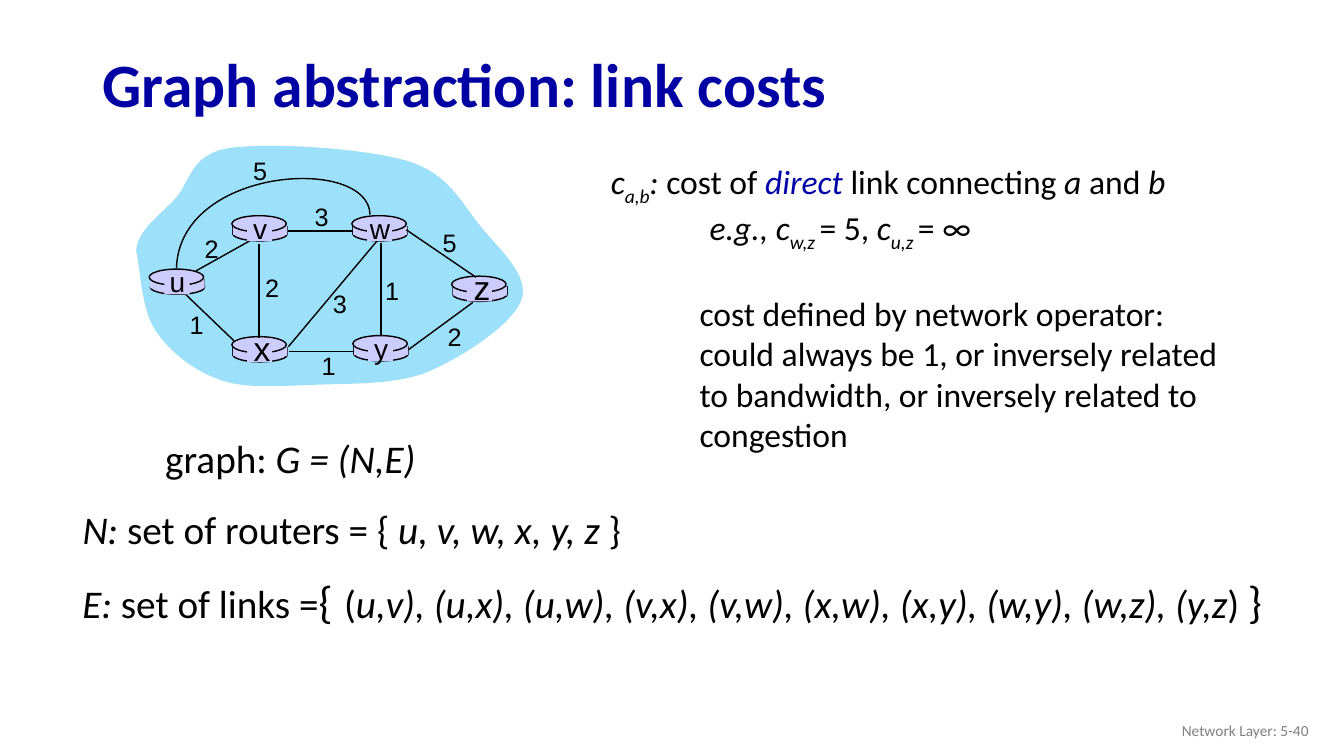
from lxml import etree
from pptx import Presentation
from pptx.dml.color import RGBColor
from pptx.enum.shapes import MSO_CONNECTOR, MSO_SHAPE
from pptx.enum.text import MSO_ANCHOR, PP_ALIGN
from pptx.oxml.ns import qn
from pptx.util import Inches, Pt

STRAIGHT = MSO_CONNECTOR.STRAIGHT
OVAL, RECT = MSO_SHAPE.OVAL, MSO_SHAPE.RECTANGLE
TOP, MIDDLE = MSO_ANCHOR.TOP, MSO_ANCHOR.MIDDLE
LEFT, CENTER, RIGHT = PP_ALIGN.LEFT, PP_ALIGN.CENTER, PP_ALIGN.RIGHT

COLORS = {"title": "0000A3", "emphasis": "0000A8", "ink": "000000",
          "cloud": "9CE0FA", "router": "CCCCFF", "footer": "808080"}

# Top left corner of each router and the size of its label
ROUTERS = {"u": (1.48, 2.67, 20), "x": (2.3, 3.34, 24), "v": (2.3, 2.14, 20),
           "w": (3.49, 2.14, 20), "y": (3.5, 3.33, 20), "z": (4.48, 2.74, 24)}
ROUTER_WIDTH = 0.54

LINK_UV = (1.94, 2.69, 2.53, 2.36)
LINKS = [
    (3.78, 2.41, 3.78, 3.32),  # w-y
    (2.57, 2.42, 2.57, 3.35),  # v-x
    (2.86, 3.44, 3.74, 2.39),  # x-w
    (4.05, 3.47, 4.69, 3.0),   # y-z
    (3.51, 3.49, 2.87, 3.49),  # y-x
    (2.32, 3.38, 1.84, 2.92),  # x-u
    (3.5, 2.29, 2.86, 2.29),   # w-v
    (4.72, 2.75, 4.03, 2.28),  # z-w
]
LINK_UW = [(3.67, 2.13), (3.66, 1.54), (1.78, 1.65), (1.75, 2.66)]

# Left and top of each link cost
COSTS = [("2", 1.93, 2.27), ("2", 2.53, 2.65), ("1", 1.78, 3.02),
         ("3", 3.2, 2.81), ("1", 3.09, 3.43), ("1", 3.72, 2.68),
         ("2", 4.34, 3.14), ("5", 4.29, 2.21), ("3", 3.02, 1.95),
         ("5", 2.41, 1.49)]

# Bézier points: a start, then two controls and an end per segment
CLOUD = [(1.35, 2.49),
         (1.36, 2.29), (1.58, 2.14), (1.74, 1.97),
         (1.89, 1.8), (1.89, 1.53), (2.27, 1.47),
         (2.66, 1.41), (3.63, 1.47), (4.05, 1.6),
         (4.46, 1.73), (4.58, 2.02), (4.77, 2.25),
         (4.96, 2.48), (5.26, 2.74), (5.17, 2.98),
         (5.08, 3.22), (4.58, 3.55), (4.24, 3.69),
         (3.89, 3.83), (3.42, 3.8), (3.08, 3.82),
         (2.73, 3.83), (2.42, 3.86), (2.16, 3.76),
         (1.91, 3.67), (1.67, 3.48), (1.53, 3.26),
         (1.4, 3.05), (1.39, 2.65), (1.35, 2.49)]


def rgb(name):
    return RGBColor.from_string(COLORS[name])


def style(shape, fill=None, outlined=False):
    shape.shadow.inherit = False
    if fill:
        shape.fill.solid()
        shape.fill.fore_color.rgb = rgb(fill)
    else:
        shape.fill.background()
    if outlined:
        shape.line.color.rgb = rgb("ink")
        shape.line.width = Pt(1)
    else:
        shape.line.fill.background()


def add_box(slide, kind, x, y, w, h, outlined=False):
    box = slide.shapes.add_shape(kind, Inches(x), Inches(y), Inches(w), Inches(h))
    style(box, "router", outlined)


def add_line(slide, x1, y1, x2, y2):
    line = slide.shapes.add_connector(
        STRAIGHT, Inches(x1), Inches(y1), Inches(x2), Inches(y2))
    line.line.color.rgb = rgb("ink")
    line.line.width = Pt(1)
    etree.SubElement(line._element.spPr, qn("a:effectLst"))


def add_curve(slide, points, closed, fill=None, outlined=False):
    start, *rest = [(Inches(x), Inches(y)) for x, y in points]
    builder = slide.shapes.build_freeform(*start)
    builder.add_line_segments(rest, close=closed)
    curve = builder.convert_to_shape()
    # Join every three line segments into one Bézier segment
    segments = list(curve._element.iter(qn("a:lnTo")))
    for first, second, third in zip(*[iter(segments)] * 3):
        first.tag = qn("a:cubicBezTo")
        for segment in (second, third):
            first.append(segment[0])
            segment.getparent().remove(segment)
    style(curve, fill, outlined)


def add_text(slide, x, y, w, h, paragraphs, size, font="Calibri", color="ink",
             align=LEFT, anchor=TOP, wrap=False, bold=None):
    """Each paragraph is a list of (text, style) runs; i italic, s subscript,
    e emphasis, and a number for a size of its own."""
    box = slide.shapes.add_textbox(Inches(x), Inches(y), Inches(w), Inches(h))
    frame = box.text_frame
    frame.word_wrap = wrap
    frame.vertical_anchor = anchor
    for i, runs in enumerate(paragraphs):
        paragraph = frame.paragraphs[0] if i == 0 else frame.add_paragraph()
        paragraph.alignment = align
        paragraph.font.name = font
        paragraph.font.size = Pt(size)
        paragraph.font.bold = bold
        paragraph.font.color.rgb = rgb(color)
        for text, marks in runs:
            run = paragraph.add_run()
            run.text = text
            if isinstance(marks, int):
                run.font.size = Pt(marks)
                continue
            if "i" in marks:
                run.font.italic = True
            if "e" in marks:
                run.font.color.rgb = rgb("emphasis")
            if "s" in marks:
                run.font._element.set("baseline", "-25000")
    return frame


def add_router(slide, x, y):
    body = x + 0.01
    add_box(slide, OVAL, body, y + 0.11, ROUTER_WIDTH, 0.14, outlined=True)
    for side in (body, body + ROUTER_WIDTH):
        add_line(slide, side, y + 0.1, side, y + 0.19)
    add_box(slide, RECT, body, y + 0.1, ROUTER_WIDTH, 0.09)
    add_box(slide, OVAL, x, y, ROUTER_WIDTH, 0.16, outlined=True)


def add_router_label(slide, name, x, y, size):
    add_box(slide, RECT, x + 0.15, y + 0.02, 0.25, 0.23)
    left, top, height = (0.1, -0.14, 0.5) if size == 24 else (0.08, -0.09, 0.43)
    add_text(slide, x + left, y + top, 0.4, height,
             [[(name, "")]], size, "Arial", align=CENTER)


def add_network(slide):
    add_curve(slide, CLOUD, closed=True, fill="cloud")
    add_line(slide, *LINK_UV)
    for x, y, _ in ROUTERS.values():
        add_router(slide, x, y)
    for link in LINKS:
        add_line(slide, *link)
    add_curve(slide, LINK_UW, closed=False, outlined=True)
    for name, (x, y, size) in ROUTERS.items():
        add_router_label(slide, name, x, y, size)
    for cost, x, y in COSTS:
        add_text(slide, x, y, 0.34, 0.4, [[(cost, "")]], 18, "Arial", align=CENTER)


def main():
    prs = Presentation()
    prs.slide_width, prs.slide_height = Inches(13.33), Inches(7.5)
    slide = prs.slides.add_slide(prs.slide_layouts[6])

    # Title and footer
    title = add_text(slide, 0.92, 0.38, 7.5, 0.98,
                     [[("Graph abstraction: link costs", "")]], 44,
                     color="title", anchor=MIDDLE, wrap=True, bold=True)
    title.paragraphs[0].line_spacing = 0.9
    add_text(slide, 10.08, 7.05, 3, 0.4, [[("Network Layer: 5-40", "")]], 11,
             color="footer", align=RIGHT, anchor=MIDDLE, wrap=True)

    add_network(slide)

    # Meaning of the link costs
    costs = add_text(slide, 5.96, 1.55, 6.44, 2.93, [
        [("c", "i"), ("a,b", "is"), (": ", "i"), ("cost of ", ""),
         ("direct", "ie"), (" link connecting ", ""), ("a", "i"),
         (" and ", ""), ("b", "i")],
        [("e.g., c", "i"), ("w,z ", "is"), ("= 5, ", ""), ("c", "i"),
         ("u,z ", "is"), ("= ∞", "")],
        [("cost defined by network operator: could always be 1, or inversely "
          "related to bandwidth, or inversely related to congestion", "")],
    ], 24, wrap=True)
    _, example, operator = costs.paragraphs
    for paragraph, indent in ((example, 0.98), (operator, 0.88)):
        properties = paragraph._p.get_or_add_pPr()
        properties.set("marL", str(Inches(indent)))
        properties.set("indent", "0")
    operator.space_before = Pt(28.5)

    # Definition of the graph
    add_text(slide, 1.54, 4.26, 2.71, 1.04,
             [[("graph: ", ""), ("G = (N,E)", "i")]], 28, wrap=True)
    add_text(slide, 0.72, 4.96, 5.59, 0.57,
             [[("N: ", "i"), ("set of routers = { ", ""),
               ("u, v, w, x, y, z ", "i"), ("}", "")]], 28)
    add_text(slide, 0.72, 5.59, 12.04, 0.71,
             [[("E: ", "i"), ("set of links =", ""), ("{", 32), (" ", 36),
               ("(", ""),
               ("u,v), (u,x), (u,w), (v,x), (v,w), (x,w), (x,y), (w,y), "
                "(w,z), (y,z", "i"), (") ", ""), ("}", 32)]], 28)

    prs.save("out.pptx")


if __name__ == "__main__":
    main()
